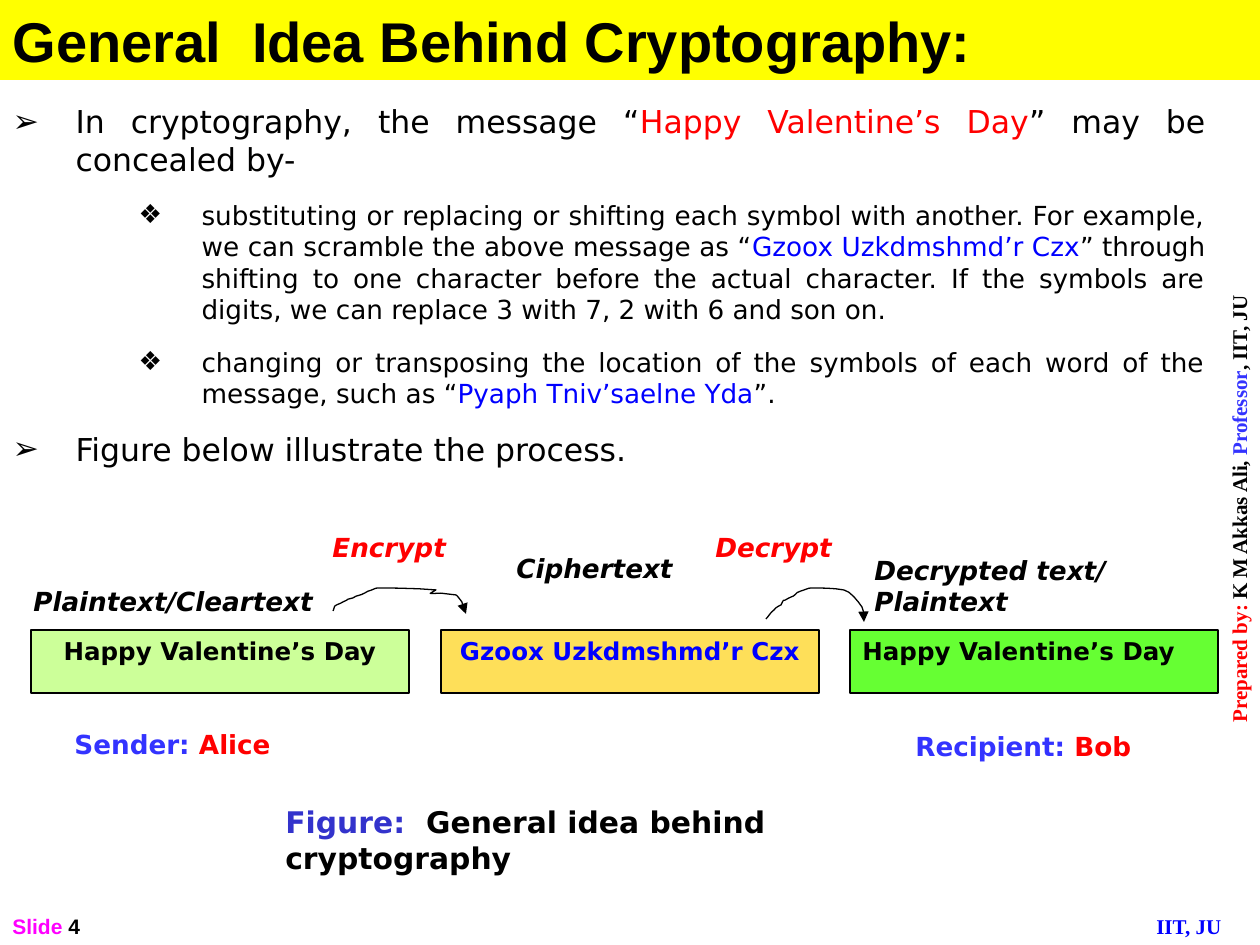
from lxml import etree
from pptx import Presentation
from pptx.dml.color import RGBColor
from pptx.enum.shapes import MSO_SHAPE
from pptx.enum.text import MSO_ANCHOR, MSO_AUTO_SIZE, PP_ALIGN
from pptx.oxml.ns import qn
from pptx.util import Emu, Pt

PX = 914400 / 126
COLORS = {
    "black": "000000", "red": "FF0000", "blue": "0000FF", "indigo": "3333FF",
    "navy": "3333CC", "magenta": "FF00FF", "yellow": "FFFF00",
    "pale green": "CCFF99", "gold": "FEDF59", "green": "66FF33",
}


def place(shape, left, top, width, height):
    shape.left, shape.top = Emu(round(left * PX)), Emu(round(top * PX))
    shape.width, shape.height = Emu(round(width * PX)), Emu(round(height * PX))


def write(paragraph, runs, size, font="DejaVu Sans", bold=True, italic=False,
          align=PP_ALIGN.LEFT):
    paragraph.alignment = align
    paragraph.font.size = Pt(size)
    paragraph.font.name = font
    paragraph.font.bold = bold
    paragraph.font.italic = italic
    for text, color in runs:
        run = paragraph.add_run()
        run.text = text
        run.font.color.rgb = RGBColor.from_string(COLORS[color])


presentation = Presentation()
presentation.slide_width = Emu(round(1260 * PX))
presentation.slide_height = Emu(round(945 * PX))
slide = presentation.slides.add_slide(presentation.slide_layouts[1])

title = slide.shapes.title
place(title, 0, 0, 1260, 80)
title.fill.solid()
title.fill.fore_color.rgb = RGBColor.from_string(COLORS["yellow"])
title.text_frame.auto_size = MSO_AUTO_SIZE.NONE
title.text_frame.vertical_anchor = MSO_ANCHOR.MIDDLE
write(title.text_frame.paragraphs[0],
      [("General  Idea Behind Cryptography:", "black")], 32, "Arial")

body = slide.placeholders[1]
place(body, 0, 96, 1218, 380)
body.text_frame.auto_size = MSO_AUTO_SIZE.NONE
body.text_frame.vertical_anchor = MSO_ANCHOR.TOP
points = [
    (0, [("In cryptography, the message “", "black"), ("Happy Valentine’s Day", "red"),
         ("” may be concealed by-", "black")]),
    (1, [("substituting or replacing or shifting each symbol with another. For example, "
          "we can scramble the above message as “", "black"),
         ("Gzoox Uzkdmshmd’r Czx", "blue"),
         ("” through shifting to one character before the actual character. If the "
          "symbols are digits, we can replace 3 with 7, 2 with 6 and son on.", "black")]),
    (1, [("changing or transposing the location of the symbols of each word of the "
          "message, such as “", "black"),
         ("Pyaph Tniv’saelne Yda", "blue"), ("”.", "black")]),
    (0, [("Figure below illustrate the process.", "black")]),
]
for index, (level, runs) in enumerate(points):
    paragraph = body.text_frame.paragraphs[0] if index == 0 else body.text_frame.add_paragraph()
    paragraph.level = level
    paragraph.space_before = Pt(6 if index else 0)
    paragraph.space_after = Pt(6)
    properties = paragraph._p.get_or_add_pPr()
    properties.set("marL", str(round((63 + 126 * level) * PX)))
    properties.set("indent", str(round(-63 * PX)))
    etree.SubElement(properties, qn("a:buChar")).set("char", "➢❖"[level])
    write(paragraph, runs, (18, 15)[level], bold=False, align=PP_ALIGN.JUSTIFY)

messages = [
    (31, 378, "pale green", "Happy Valentine’s Day", "black", PP_ALIGN.CENTER),
    (441, 378, "gold", "Gzoox Uzkdmshmd’r Czx", "blue", PP_ALIGN.CENTER),
    (850, 368, "green", "Happy Valentine’s Day", "black", PP_ALIGN.LEFT),
]
for left, width, fill, text, color, align in messages:
    box = slide.shapes.add_shape(MSO_SHAPE.RECTANGLE, 0, 0, 0, 0)
    place(box, left, 630, width, 63)
    box.shadow.inherit = False
    box.fill.solid()
    box.fill.fore_color.rgb = RGBColor.from_string(COLORS[fill])
    box.line.color.rgb = RGBColor.from_string(COLORS["black"])
    box.line.width = Pt(0.75)
    box.text_frame.vertical_anchor = MSO_ANCHOR.TOP
    write(box.text_frame.paragraphs[0], [(text, color)], 14, align=align)

labels = [
    (21, 579, 325, 38, [("Plaintext/Cleartext", "black")], 15, True),
    (504, 546, 189, 63, [("Ciphertext", "black")], 15, True),
    (862, 548, 262, 63, [("Decrypted text/ Plaintext", "black")], 15, True),
    (320, 525, 184, 63, [("Encrypt", "red")], 15, True),
    (703, 525, 154, 63, [("Decrypt", "red")], 15, True),
    (62, 722, 222, 44, [("Sender: ", "indigo"), ("Alice", "red")], 15, False),
    (903, 724, 250, 44, [("Recipient: ", "indigo"), ("Bob", "red")], 15, False),
    (273, 798, 720, 86, [("Figure:  ", "navy"),
                         ("General idea behind cryptography", "black")], 17, False),
]
for left, top, width, height, runs, size, italic in labels:
    label = slide.shapes.add_textbox(0, 0, 0, 0)
    place(label, left, top, width, height)
    label.text_frame.word_wrap = True
    write(label.text_frame.paragraphs[0], runs, size, italic=italic)

arrow_curves = [
    [(333, 611), (334, 610), (334, 607), (335, 606), (338, 604), (340, 604), (343, 602),
     (353, 598), (341, 601), (353, 598), (357, 595), (360, 596), (365, 593),
     (367, 592), (368, 591), (369, 591), (373, 590), (375, 588), (378, 588),
     (378, 588), (417, 588), (436, 590), (423, 598), (432, 590), (456, 595),
     (457, 595), (461, 601), (462, 602), (462, 604), (464, 606), (464, 607),
     (467, 615), (466, 609), (466, 614)],
    [(766, 619), (769, 616), (770, 613), (774, 610), (776, 607), (781, 605), (781, 605),
     (786, 596), (780, 604), (789, 598), (798, 595), (794, 593), (801, 591),
     (805, 590), (808, 588), (811, 588), (822, 588), (833, 588), (844, 590),
     (850, 591), (858, 601), (862, 607), (866, 619), (864, 614), (864, 622)],
]
for curve in arrow_curves:
    vertices = []
    for start in range(0, len(curve) - 1, 3):
        for step in range(1, 5):
            t = step / 4
            weights = ((1 - t) ** 3, 3 * t * (1 - t) ** 2, 3 * t ** 2 * (1 - t), t ** 3)
            vertices.append(tuple(
                round(PX * sum(weight * point[axis] for weight, point
                               in zip(weights, curve[start:start + 4])))
                for axis in (0, 1)))
    builder = slide.shapes.build_freeform(round(curve[0][0] * PX), round(curve[0][1] * PX))
    builder.add_line_segments(vertices, close=False)
    arrow = builder.convert_to_shape()
    arrow.shadow.inherit = False
    arrow.fill.background()
    arrow.line.color.rgb = RGBColor.from_string(COLORS["black"])
    arrow.line.width = Pt(0.75)
    etree.SubElement(arrow.line._get_or_add_ln(), qn("a:tailEnd")).set("type", "triangle")

footers = [
    (1220, 73, 50, 872, [("Prepared by:", "red"), (" K M Akkas Ali, ", "black"),
                         ("Professor", "indigo"), (", IIT, JU", "black")],
     "Times New Roman", PP_ALIGN.CENTER, "vert270"),
    (1144, 907, 116, 38, [("IIT, JU", "blue")], "Times New Roman", PP_ALIGN.LEFT, "horz"),
    (0, 882, 262, 63, [("Slide ", "magenta"), ("4", "black")], "Arial", PP_ALIGN.LEFT, "horz"),
]
for left, top, width, height, runs, font, align, direction in footers:
    footer = slide.shapes.add_textbox(0, 0, 0, 0)
    place(footer, left, top, width, height)
    footer.text_frame.word_wrap = True
    footer.text_frame._txBody.bodyPr.set("vert", direction)
    if font == "Arial":
        footer.text_frame.vertical_anchor = MSO_ANCHOR.BOTTOM
    write(footer.text_frame.paragraphs[0], runs, 12, font, align=align)

presentation.save("out.pptx")
